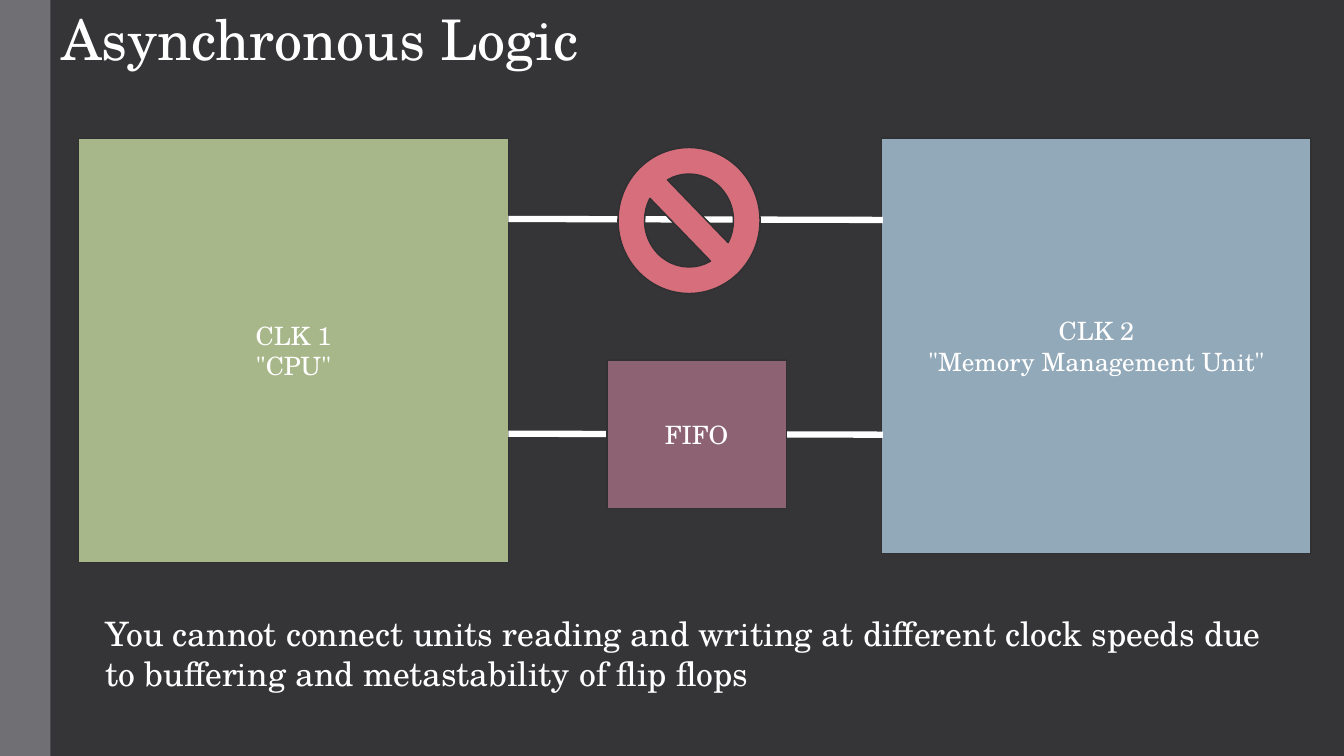
from collections import namedtuple

from lxml.etree import SubElement
from pptx import Presentation
from pptx.dml.color import RGBColor
from pptx.enum.shapes import MSO_CONNECTOR, MSO_SHAPE
from pptx.enum.text import MSO_ANCHOR, PP_ALIGN
from pptx.oxml.ns import qn
from pptx.util import Pt

Box = namedtuple("Box", "left top width height")

FONT = "TeX Gyre Schola"
COLORS = {
    "background": "353537",
    "sidebar": "6F6F74",
    "outline": "313133",
    "white": "FFFFFF",
    "cpu": "A7B789",
    "memory": "92A9B9",
    "fifo": "8D6374",
    "forbidden": "D66F7B",
}


def color(name):
    return RGBColor.from_string(COLORS[name])


def place(box):
    return [Pt(length) for length in box]


def write(frame, lines, size, align=PP_ALIGN.LEFT, anchor=MSO_ANCHOR.TOP):
    frame.word_wrap = True
    frame.vertical_anchor = anchor
    for index, line in enumerate(lines):
        para = frame.paragraphs[0] if index == 0 else frame.add_paragraph()
        para.alignment = align
        span = para.add_run()
        span.text = line
        span.font.name = FONT
        span.font.size = Pt(size)
        span.font.color.rgb = color("white")


def add_text(page, box, line, size):
    write(page.shapes.add_textbox(*place(box)).text_frame, [line], size)


def add_block(page, box, fill, lines=(), kind=MSO_SHAPE.RECTANGLE, outlined=True):
    block = page.shapes.add_shape(kind, *place(box))
    block.shadow.inherit = False
    block.fill.solid()
    block.fill.fore_color.rgb = color(fill)
    if outlined:
        block.line.color.rgb = color("outline")
        block.line.width = Pt(1.1)
    else:
        block.line.fill.background()
    write(block.text_frame, lines, 18, PP_ALIGN.CENTER, MSO_ANCHOR.MIDDLE)


def add_wire(page, left, right, top):
    """Draw a thick line that falls slightly from left to right."""
    wire = page.shapes.add_connector(
        MSO_CONNECTOR.STRAIGHT, Pt(left), Pt(top), Pt(right), Pt(top + 0.7))
    wire.line.color.rgb = color("white")
    wire.line.width = Pt(4.5)
    SubElement(wire._element.spPr, qn("a:effectLst"))


def add_clock_diagram(page, box):
    """Two clock domains joined by a forbidden direct wire and a FIFO."""
    left, top, width, height = box
    block_width = 307
    memory_left = left + width - block_width
    add_block(page, Box(left, top, block_width, height), "cpu",
              ["CLK 1", '"CPU"'])
    add_block(page, Box(memory_left, top, block_width, height - 6.5), "memory",
              ["CLK 2", '"Memory Management Unit"'])
    for drop in (57.6, 211):
        add_wire(page, left + block_width, memory_left + 1, top + drop)
    add_block(page, Box(left + 377.3, top + 158.4, 128.2, 106.2), "fifo", ["FIFO"])
    add_block(page, Box(left + 385.2, top + 6.5, 101.5, 104.4), "forbidden",
              kind=MSO_SHAPE.NO_SYMBOL)


def build_page(page, box):
    page.background.fill.solid()
    page.background.fill.fore_color.rgb = color("background")
    left, top, width, height = box
    add_block(page, Box(left, top, 36, height), "sidebar", outlined=False)
    add_text(page, Box(left + 36.7, top, 780.5, 55.4), "Asynchronous Logic", 40)
    add_clock_diagram(page, Box(left + 56.2, top + 98.8, width - 79.5, 303))
    add_text(page, Box(left + 68.4, top + 434.2, 859, 65.5),
             "You cannot connect units reading and writing at different clock "
             "speeds due to buffering and metastability of flip flops", 24)


def main():
    deck = Presentation()
    deck.slide_width, deck.slide_height = Pt(960), Pt(540)
    page = deck.slides.add_slide(deck.slide_layouts[6])
    build_page(page, Box(0, 0, 960, 540))
    deck.save("out.pptx")


if __name__ == "__main__":
    main()
